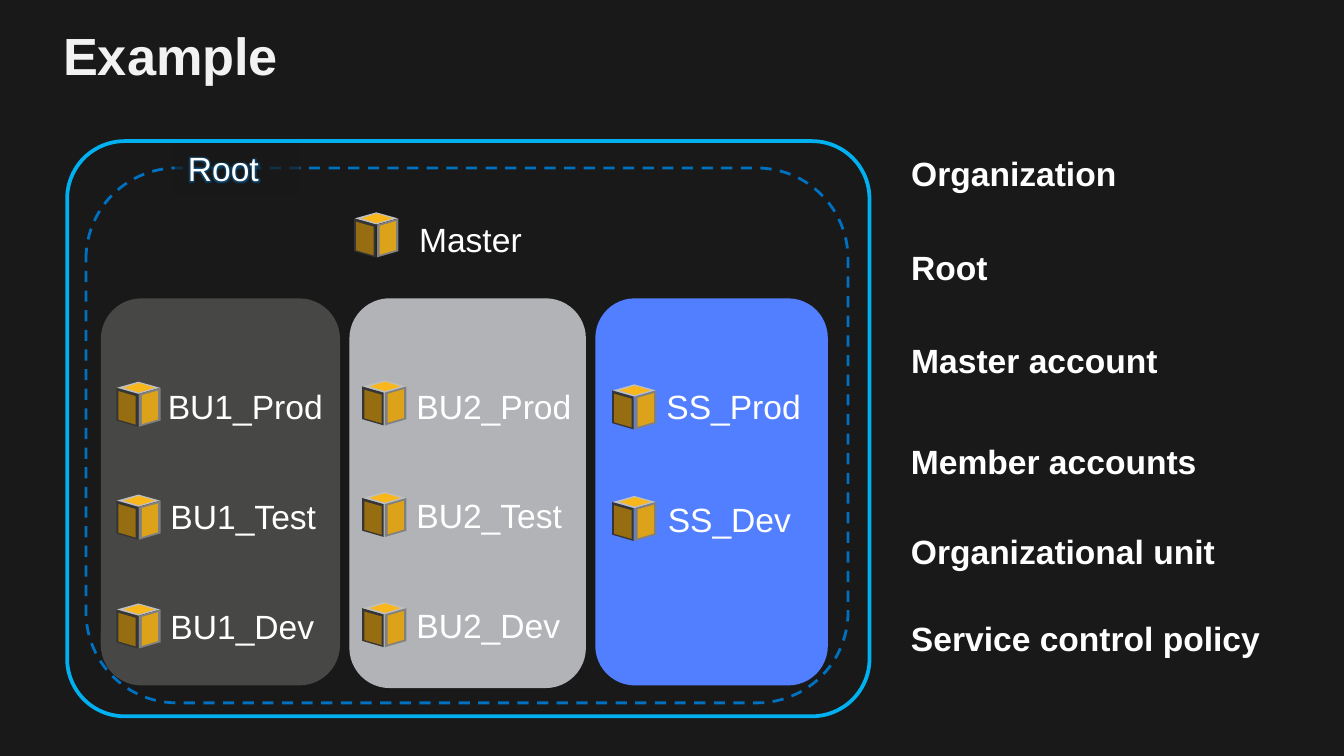
from lxml import etree
from pptx import Presentation
from pptx.dml.color import RGBColor
from pptx.enum import dml, shapes, text
from pptx.oxml import ns
from pptx.util import Inches, Pt

FONT = "Arial"
WHITE = "FFFFFF"


def paint(fmt, color):
    """Give a fill format a solid colour."""
    fmt.solid()
    fmt.fore_color.rgb = RGBColor.from_string(color)


def write(paragraph, words, size=18, color=WHITE, bold=False):
    """Add one formatted, left-aligned run."""
    paragraph.alignment = text.PP_ALIGN.LEFT
    run = paragraph.add_run()
    run.text = words
    run.font.size, run.font.bold = Pt(size), bold
    paint(run.font.fill, color)
    run.font.name = FONT
    return run


# A 16:9 slide
prs = Presentation()
prs.slide_width = Inches(10)
prs.slide_height = Inches(10) * 9 // 16
slide = prs.slides.add_slide(prs.slide_layouts[1])
paint(slide.background.fill, "191919")

# Title
title = slide.shapes.title
title.left, title.top, title.width, title.height = map(Inches, (0.37, 0.11, 8.97, 0.6))
title.text_frame.vertical_anchor = text.MSO_ANCHOR.MIDDLE
write(title.text_frame.paragraphs[0], "Example", 28, "F2F2F2", True)

# Organizational units, then the root and organization outlines
panels = [
    # left, top, width, height, fill, line, line width, dash, corner
    (0.75, 2.22, 1.78, 2.88, "474746", None, 0, None, 0.17),
    (2.6, 2.22, 1.76, 2.9, "B1B3B6", None, 0, None, 0.17),
    (4.43, 2.22, 1.73, 2.88, "527FFF", None, 0, None, 0.17),
    (0.64, 1.25, 5.67, 3.98, None, "0070C0", 1.5, dml.MSO_LINE.DASH, 0.17),
    (0.5, 1.05, 5.97, 4.28, None, "00B0F0", 2, None, 0.1),
]
for left, top, width, height, fill, line, weight, dash, corner in panels:
    panel = slide.shapes.add_shape(
        shapes.MSO_SHAPE.ROUNDED_RECTANGLE, *map(Inches, (left, top, width, height)))
    panel.shadow.inherit = False
    panel.adjustments[0] = corner
    if fill:
        paint(panel.fill, fill)
        panel.line.fill.background()
    else:
        panel.fill.background()
        paint(panel.line.fill, line)
        panel.line.width = Pt(weight)
        if dash:
            panel.line.dash_style = dash
organization = panel

# Root label: translucent patch between the two outlines, glowing text
root = slide.shapes.add_shape(
    shapes.MSO_SHAPE.RECTANGLE, *map(Inches, (1.3, 1.05, 0.93, 0.4)))
organization._element.addprevious(root._element)
root.shadow.inherit = False
root.line.fill.background()
paint(root.fill, "181818")
patch_color = root.fill._xPr.find(".//" + ns.qn("a:srgbClr"))
etree.SubElement(patch_color, ns.qn("a:alpha"), val="71000")
root.text_frame.word_wrap = True
root.text_frame.vertical_anchor = text.MSO_ANCHOR.TOP
root_run = write(root.text_frame.paragraphs[0], "Root")
effects = etree.Element(ns.qn("a:effectLst"))
glow = etree.SubElement(effects, ns.qn("a:glow"), rad="50800")
glow_color = etree.SubElement(glow, ns.qn("a:srgbClr"), val="0070C0")
etree.SubElement(glow_color, ns.qn("a:alpha"), val="50000")
root_run._r.rPr.find(ns.qn("a:solidFill")).addnext(effects)

# Accounts: a cube icon and a label each
cube_faces = [
    # x and y from the cube's corner, width, height, colour, kind of face
    (-0.07, 0.11, 0.29, 0.16, "353535", "left"),
    (0, 0, 0.32, 0.09, "BFBFBF", "top"),
    (0.1, 0.11, 0.29, 0.16, "808080", "right"),
    (0.05, 0.01, 0.23, 0.07, "F9B71C", "top"),
    (0.12, 0.13, 0.25, 0.12, "DCA21A", "right"),
    (-0.05, 0.13, 0.25, 0.13, "966D10", "left"),
]
accounts = [
    # name, label left, top, width, cube left, top
    ("Master", 3.02, 1.58, 1.98, 2.64, 1.58),
    ("BU1_Prod", 1.15, 2.82, 1.35, 0.87, 2.84),
    ("BU1_Test", 1.17, 3.64, 1.35, 0.87, 3.68),
    ("BU1_Dev", 1.17, 4.46, 1.35, 0.87, 4.49),
    ("BU2_Prod", 3, 2.82, 1.36, 2.7, 2.83),
    ("BU2_Test", 3, 3.63, 1.36, 2.7, 3.66),
    ("BU2_Dev", 3, 4.45, 1.36, 2.7, 4.48),
    ("SS_Prod", 4.86, 2.82, 1.98, 4.56, 2.86),
    ("SS_Dev", 4.87, 3.66, 1.98, 4.56, 3.69),
]
labels = [(name, left, top, width, 0.4, False)
          for name, left, top, width, _, _ in accounts]
for _, _, _, _, cube_left, cube_top in accounts:
    cube = slide.shapes.add_group_shape()
    for dx, dy, width, height, color, side in cube_faces:
        kind = shapes.MSO_SHAPE.DIAMOND if side == "top" else shapes.MSO_SHAPE.PARALLELOGRAM
        face = cube.shapes.add_shape(
            kind, *map(Inches, (cube_left + dx, cube_top + dy, width, height)))
        face.shadow.inherit = False
        paint(face.fill, color)
        face.line.fill.background()
        if side != "top":
            face.rotation = 90
            face.adjustments[0] = 0.29
        if side == "right":
            face._element.spPr.xfrm.set("flipV", "1")

# Account labels and the lower terms of the legend
labels += [
    ("Member accounts", 6.68, 3.23, 3.1, 0.43, True),
    ("Organizational unit", 6.68, 3.9, 3.1, 0.43, True),
    ("Service control policy", 6.68, 4.55, 2.94, 0.43, True),
]
for name, left, top, width, height, bold in labels:
    label = slide.shapes.add_textbox(*map(Inches, (left, top, width, height)))
    label.text_frame.word_wrap = True
    write(label.text_frame.paragraphs[0], name, bold=bold)

# Upper terms of the legend
terms = slide.placeholders[1]
terms.left, terms.top, terms.width, terms.height = map(Inches, (6.68, 1.09, 3.1, 1.99))
for index, term in enumerate(["Organization", "Root", "Master account"]):
    frame = terms.text_frame
    paragraph = frame.add_paragraph() if index else frame.paragraphs[0]
    props = paragraph._p.get_or_add_pPr()
    props.set("marL", "0")
    props.set("indent", "0")
    etree.SubElement(props, ns.qn("a:buNone"))
    paragraph.space_before = Pt(28.5 if index else 0)
    write(paragraph, term, bold=True)

prs.save("out.pptx")
